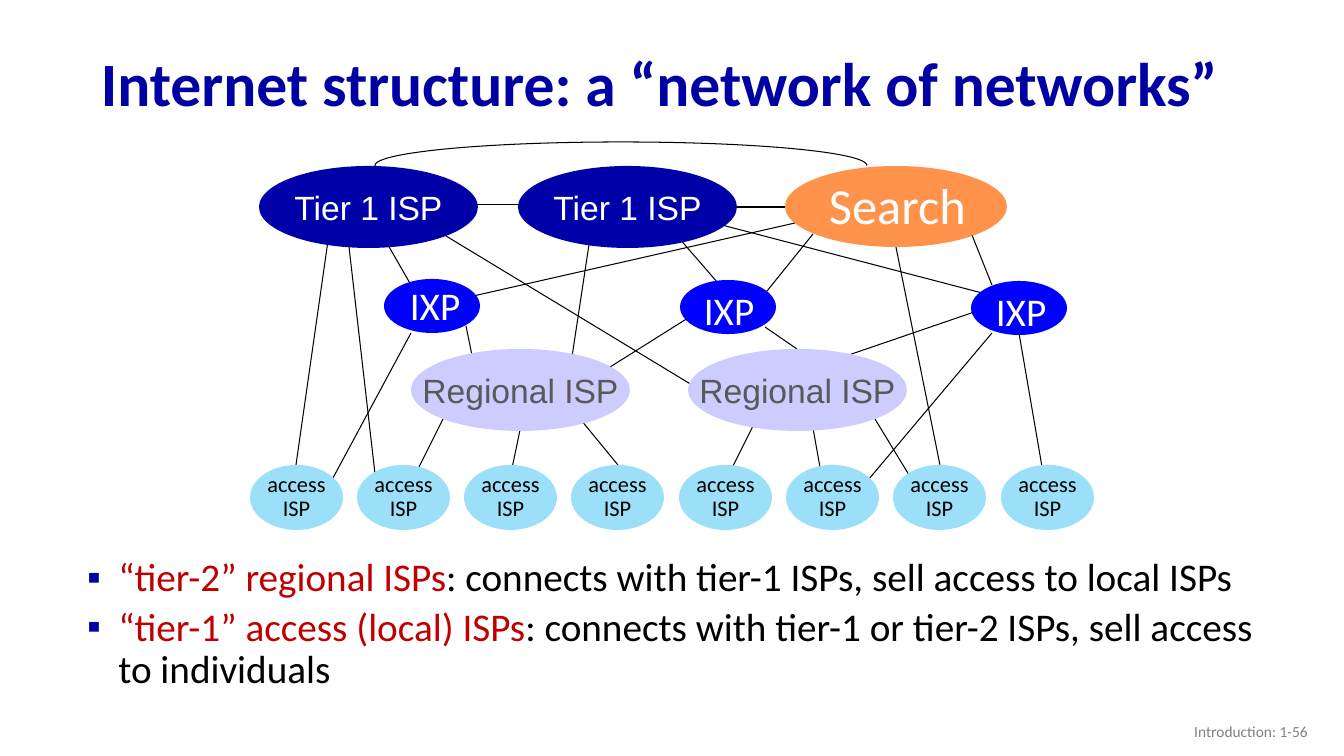
from lxml import etree
from pptx import Presentation
from pptx import util as u
from pptx.dml.color import RGBColor
from pptx.enum import shapes, text
from pptx.oxml.ns import qn

NAVY = RGBColor(0x00, 0x00, 0xA8)
TITLE_BLUE = RGBColor(0x00, 0x00, 0xA3)
BLUE = RGBColor(0x00, 0x00, 0xFF)
LAVENDER = RGBColor(0xCC, 0xCC, 0xFF)
SKY = RGBColor(0x9C, 0xDF, 0xF9)
ORANGE = RGBColor(0xFF, 0x66, 0x00)
RED = RGBColor(0xC0, 0x00, 0x00)
GRAY = RGBColor(0x80, 0x80, 0x80)
DARK_GRAY = RGBColor(0x59, 0x59, 0x59)
BLACK = RGBColor(0x00, 0x00, 0x00)
WHITE = RGBColor(0xFF, 0xFF, 0xFF)

LEFT, CENTER, RIGHT = text.PP_ALIGN.LEFT, text.PP_ALIGN.CENTER, text.PP_ALIGN.RIGHT
TOP, MIDDLE = text.MSO_ANCHOR.TOP, text.MSO_ANCHOR.MIDDLE

ACCESS_LINKS = [
    (331, 220, 296, 465), (520, 430, 509, 483), (443, 419, 411, 483),
    (348, 238, 377, 491), (411, 333, 326, 491), (572, 409, 618, 465),
    (756, 420, 724, 484), (813, 428, 823, 484), (875, 419, 920, 493),
    (896, 247, 940, 465), (1019, 333, 1045, 484), (992, 333, 858, 492),
]
REGIONAL_LINKS = [
    (466, 326, 474, 365), (590, 238, 572, 357), (688, 318, 599, 374),
    (446, 236, 697, 388), (983, 309, 840, 358), (765, 327, 797, 349),
]
CORE_LINKS = [
    (795, 223, 447, 302), (972, 235, 992, 285), (813, 234, 759, 301),
    (532, 205, 474, 205), (785, 207, 737, 207), (384, 238, 411, 285),
    (679, 238, 724, 290), (718, 224, 986, 294),
]
BULLETS = [
    ("“tier-2” regional ISPs", ": connects with tier-1 ISPs, sell access to local ISPs"),
    ("“tier-1” access (local) ISPs",
     ": connects with tier-1 or tier-2 ISPs, sell access to individuals"),
]


def px(n):
    return u.Emu(round(n * 914400 / 100.8))


class Deck:
    """Holds the style and the current slide, and draws each kind of element."""

    def __init__(self, prs):
        self.s = prs.slides.add_slide(prs.slide_layouts[6])
        self.line_width = u.Pt(0.75)

    def put_text(self, tf, paragraphs, size=28, color=BLACK, font="Calibri", bold=False,
                 align=LEFT, anchor=TOP, wrap=False, spacing=1.0, before=0, bullet=None):
        tf.word_wrap = wrap
        tf.vertical_anchor = anchor
        for i, runs in enumerate(paragraphs):
            p = tf.paragraphs[0] if i == 0 else tf.add_paragraph()
            p.alignment = align
            p.line_spacing = spacing
            if i and before:
                p.space_before = u.Pt(before)
            if bullet:
                self.bullet(p, bullet)
            for content, run_color in [(runs, color)] if isinstance(runs, str) else runs:
                r = p.add_run()
                r.text = content
                r.font.name, r.font.size, r.font.bold = font, u.Pt(size), bold
                r.font.color.rgb = run_color

    def bullet(self, p, color):
        pPr = p._p.get_or_add_pPr()
        pPr.set("marL", str(u.Inches(0.5)))
        pPr.set("indent", str(u.Inches(-0.31)))
        buClr = etree.SubElement(pPr, qn("a:buClr"))
        etree.SubElement(buClr, qn("a:srgbClr"), val=str(color))
        etree.SubElement(pPr, qn("a:buFont"), typeface="Arial")
        etree.SubElement(pPr, qn("a:buChar"), char="▪")

    def label(self, x, y, w, h, paragraphs, **fmt):
        sp = self.s.shapes.add_textbox(px(x), px(y), px(w), px(h))
        self.put_text(sp.text_frame, paragraphs, **fmt)

    def link(self, x1, y1, x2, y2):
        c = self.s.shapes.add_connector(
            shapes.MSO_CONNECTOR.STRAIGHT, px(x1), px(y1), px(x2), px(y2))
        c.line.color.rgb = BLACK
        c.line.width = self.line_width
        etree.SubElement(c._element.spPr, qn("a:effectLst"))

    def ellipse(self, x, y, w, h, fill, paragraphs=(), alpha=None, **fmt):
        sp = self.s.shapes.add_shape(shapes.MSO_SHAPE.OVAL, px(x), px(y), px(w), px(h))
        sp.shadow.inherit = False
        sp.fill.solid()
        sp.fill.fore_color.rgb = fill
        sp.line.fill.background()
        if alpha:
            clr = sp._element.spPr.find(qn("a:solidFill")).find(qn("a:srgbClr"))
            etree.SubElement(clr, qn("a:alpha"), val=str(alpha * 1000))
        self.put_text(sp.text_frame, paragraphs, align=CENTER, anchor=MIDDLE, **fmt)

    def arc(self, x, y, w, h, start, end):
        sp = self.s.shapes.add_shape(shapes.MSO_SHAPE.ARC, px(x), px(y), px(w), px(h))
        sp.shadow.inherit = False
        sp.adjustments[0], sp.adjustments[1] = start, end
        sp.fill.background()
        sp.line.color.rgb = BLACK
        sp.line.width = self.line_width


def main():
    prs = Presentation()
    prs.slide_width, prs.slide_height = px(1344), px(756)
    d = Deck(prs)

    d.label(91, 37, 1159, 99, ["Internet structure: a “network of networks”"], size=44,
            color=TITLE_BLUE, bold=True, anchor=MIDDLE, wrap=True, spacing=0.9)
    d.label(58, 553, 1237, 202, [[(term, RED), (rest, BLACK)] for term, rest in BULLETS],
            wrap=True, spacing=0.9, before=5, bullet=NAVY)
    d.label(1016, 711, 302, 40, ["Introduction: 1-56"], size=11, color=GRAY,
            align=RIGHT, anchor=MIDDLE, wrap=True)

    for ends in ACCESS_LINKS + REGIONAL_LINKS + CORE_LINKS:
        d.link(*ends)
    d.arc(375, 142, 492, 47, 106.82, 0)

    for i in range(8):
        d.ellipse(250 + i * 751 // 7, 465, 93, 65, SKY, ["access", "ISP"],
                  size=16, spacing=0.9)
    for x in (411, 688):
        d.ellipse(x, 349, 219, 82, LAVENDER, ["Regional ISP"],
                  size=24, color=DARK_GRAY, font="Arial")
    for x in (259, 518):
        d.ellipse(x, 166, 219, 82, NAVY, ["Tier 1 ISP"], size=24, color=WHITE, font="Arial")
    d.ellipse(785, 166, 222, 81, ORANGE, alpha=70)
    d.label(814, 169, 167, 72, ["Search"], size=36, color=WHITE, align=CENTER)
    for x, y, label_x, label_y in [(384, 279, 400, 276), (971, 281, 986, 282),
                                   (680, 280, 694, 281)]:
        d.ellipse(x, y, 96, 54, BLUE)
        d.label(label_x, label_y, 72, 54, ["IXP"], color=WHITE)

    prs.save("out.pptx")


if __name__ == "__main__":
    main()
